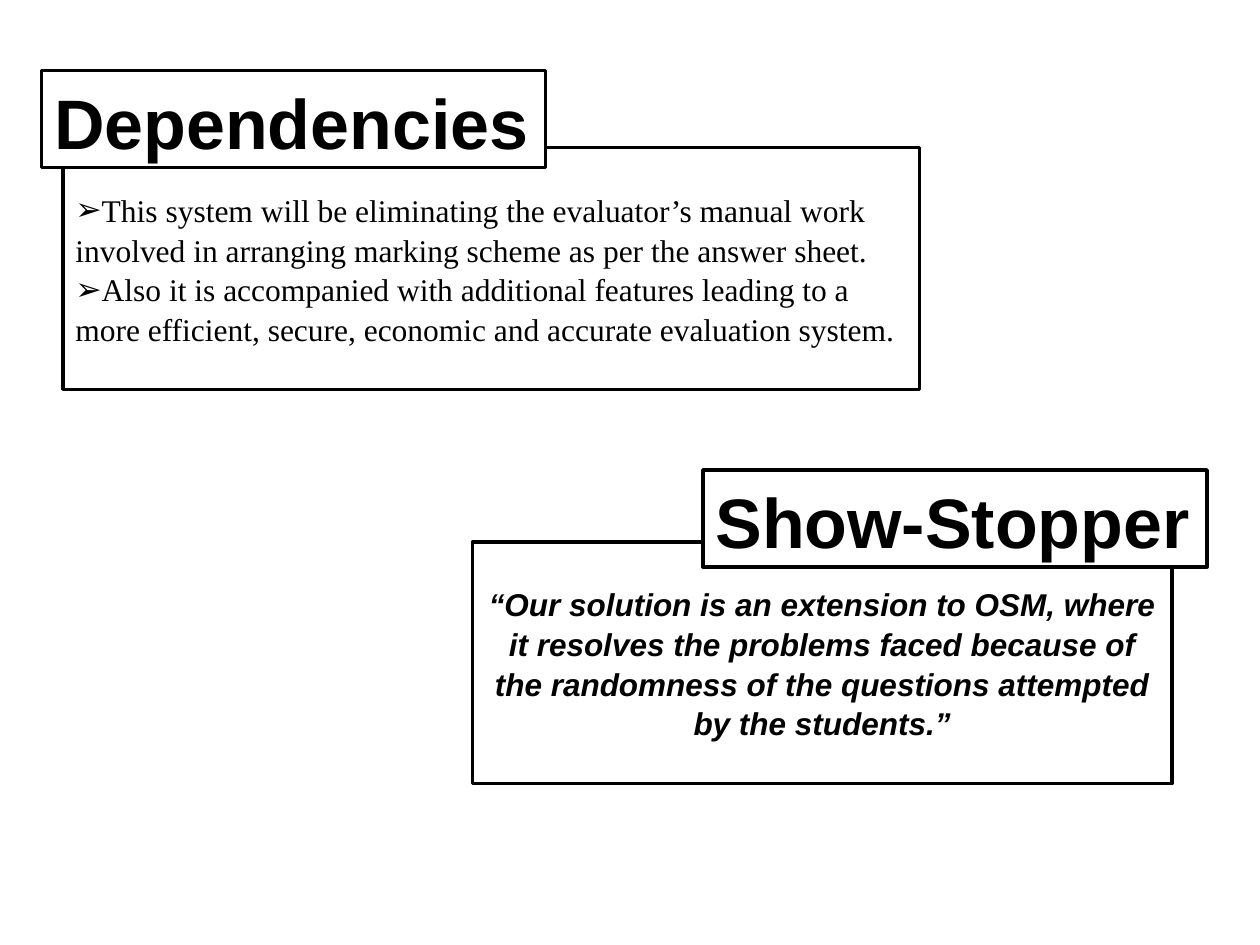
import dataclasses

import pptx
import pptx.dml.color
import pptx.enum.shapes
import pptx.enum.text
import pptx.oxml
import pptx.oxml.ns
import pptx.util

Inches, Pt = pptx.util.Inches, pptx.util.Pt
ALIGN = pptx.enum.text.PP_ALIGN
ANCHOR = pptx.enum.text.MSO_ANCHOR


@dataclasses.dataclass(frozen=True)
class Theme:
    ink: pptx.dml.color.RGBColor = pptx.dml.color.RGBColor(0, 0, 0)
    paper: pptx.dml.color.RGBColor = pptx.dml.color.RGBColor(255, 255, 255)
    sans: str = "Arial"
    serif: str = "Times New Roman"
    heading_size: int = 40
    body_size: int = 18
    line_width: int = 2
    line_spacing: float = 1.05
    bullet: str = "➢"


class SlideBuilder:
    def __init__(self, slide, theme):
        self.s = slide
        self.theme = theme

    def frame(self, sp):
        """Give a shape the white fill and black outline of every box."""
        sp.fill.solid()
        sp.fill.fore_color.rgb = self.theme.paper
        sp.line.color.rgb = self.theme.ink
        sp.line.width = Pt(self.theme.line_width)

    def box(self, left, top, width, height):
        sp = self.s.shapes.add_shape(
            pptx.enum.shapes.MSO_SHAPE.RECTANGLE,
            Inches(left), Inches(top), Inches(width), Inches(height))
        sp.shadow.inherit = False
        self.frame(sp)
        return sp

    def add_text(self, sp, lines, size, font, align=ALIGN.LEFT,
                 bold=False, italic=False, bullets=False, wrap=True):
        tf = sp.text_frame
        tf.word_wrap = wrap
        tf.auto_size = pptx.enum.text.MSO_AUTO_SIZE.NONE
        tf.vertical_anchor = ANCHOR.MIDDLE
        for i, line in enumerate(lines):
            p = tf.add_paragraph() if i else tf.paragraphs[0]
            p.alignment = align
            p.line_spacing = self.theme.line_spacing
            if bullets:
                self.add_bullet(p)
            r = p.add_run()
            r.text = line
            r.font.size = Pt(size)
            r.font.name = font
            r.font.bold = bold
            r.font.italic = italic
            r.font.color.rgb = self.theme.ink

    def add_bullet(self, p):
        """Start the paragraph with a bullet and no hanging indent."""
        pPr = p._p.get_or_add_pPr()
        pPr.set("marL", "0")
        pPr.set("indent", "0")
        for tag, key, value in (("buFont", "typeface", self.theme.sans),
                                ("buChar", "char", self.theme.bullet)):
            pPr.append(pptx.oxml.parse_xml(
                f'<a:{tag} {pptx.oxml.ns.nsdecls("a")} {key}="{value}"/>'))

    def add_heading_text(self, sp, text):
        self.add_text(sp, [text], self.theme.heading_size, self.theme.sans,
                      bold=True, wrap=False)

    def heading(self, text, left, top, width, height):
        self.add_heading_text(self.box(left, top, width, height), text)

    def title(self, text, left, top, width, height):
        """Place the title placeholder in front of the boxes drawn so far."""
        sp = self.s.shapes.title
        sp.left, sp.top = Inches(left), Inches(top)
        sp.width, sp.height = Inches(width), Inches(height)
        self.frame(sp)
        self.add_heading_text(sp, text)
        sp.element.getparent().append(sp.element)

    def bullet_box(self, lines, left, top, width, height):
        self.add_text(self.box(left, top, width, height), lines,
                      self.theme.body_size, self.theme.serif, bullets=True)

    def quote_box(self, text, left, top, width, height):
        self.add_text(self.box(left, top, width, height), [text],
                      self.theme.body_size, self.theme.sans,
                      align=ALIGN.CENTER, bold=True, italic=True)


def main():
    prs = pptx.Presentation()
    prs.slide_width, prs.slide_height = Inches(10), Inches(7.5)
    s = prs.slides.add_slide(prs.slide_layouts.get_by_name("Title Only"))
    builder = SlideBuilder(s, Theme())

    heading_size = (4, 0.77)
    body_height = 1.92
    builder.bullet_box(
        ["This system will be eliminating the evaluator’s manual work involved "
         "in arranging marking scheme as per the answer sheet.",
         "Also it is accompanied with additional features leading to a more "
         "efficient, secure, economic and accurate evaluation system."],
        0.5, 1.17, 6.8, body_height)
    builder.quote_box(
        "“Our solution is an extension to OSM, where it resolves the problems "
        "faced because of the randomness of the questions attempted by the "
        "students.”",
        3.75, 4.3, 5.55, body_height)
    builder.heading("Show-Stopper", 5.58, 3.73, *heading_size)
    builder.title("Dependencies", 0.33, 0.56, *heading_size)

    prs.save("out.pptx")


if __name__ == "__main__":
    main()
